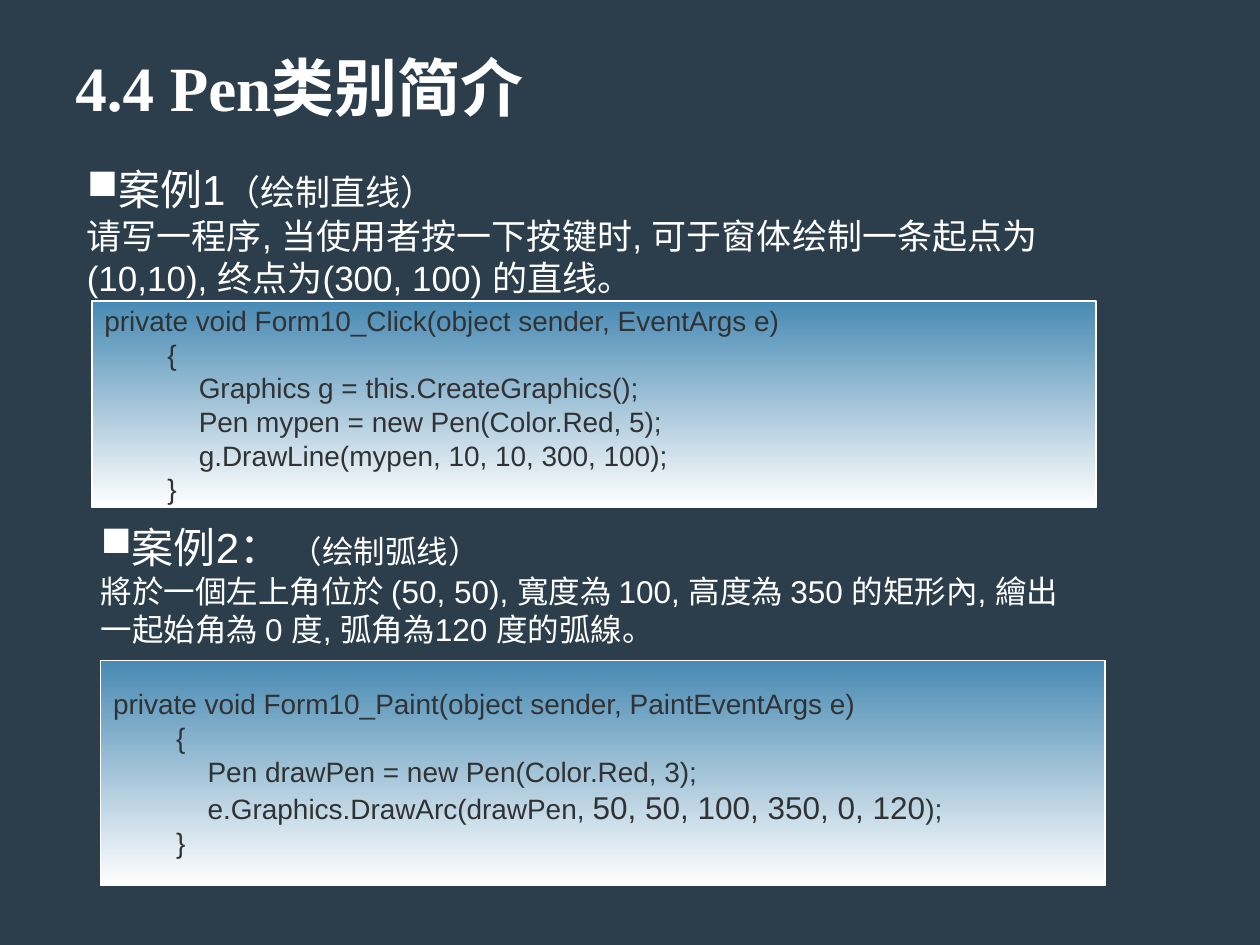
from dataclasses import dataclass

from lxml.etree import SubElement
from pptx import Presentation
from pptx.dml.color import RGBColor
from pptx.enum.shapes import MSO_SHAPE
from pptx.enum.text import MSO_ANCHOR, PP_ALIGN
from pptx.oxml.ns import qn
from pptx.util import Inches, Pt


@dataclass(frozen=True)
class Theme:
    """Colours, fonts and type sizes of the slide."""
    backdrop: str = "2C3E4C"
    light: str = "FFFFFF"
    dark: str = "303234"
    panel_top: str = "488AB3"
    heading_font: str = "Times New Roman"
    body_font: str = "Arial"
    title: int = 36
    case: int = 24
    task: int = 20
    task_small: int = 18
    code: int = 16
    code_large: int = 18


THEME = Theme()
COLUMNS, ROWS = 100, 75
CELL = Inches(0.1)
CODE_STEP = Inches(0.25)


def grid(*cells):
    """Turn grid columns and rows into lengths."""
    return [round(cell * CELL) for cell in cells]


def apply(target, values):
    """Set each attribute in a dict of format values."""
    for name, value in values.items():
        setattr(target, name, value)


def write(paragraph, pieces, color, font=THEME.body_font, bold=False):
    """Add (text, size) pieces to a paragraph."""
    for text, size in pieces:
        run = paragraph.add_run()
        run.text = text
        apply(run.font, {"name": font, "size": Pt(size), "bold": bold})
        run.font.color.rgb = RGBColor.from_string(color)


def add_text(slide, place, anchor):
    """Add a wrapping text box and return its frame."""
    frame = slide.shapes.add_textbox(*grid(*place)).text_frame
    apply(frame, {"word_wrap": True, "vertical_anchor": anchor})
    return frame


def add_title(slide, place, text):
    """Add the slide heading."""
    heading = add_text(slide, place, MSO_ANCHOR.BOTTOM).paragraphs[0]
    heading.line_spacing = 0.9
    write(heading, [(text, THEME.title)], THEME.light, THEME.heading_font, True)


def add_case(slide, place, label, topic, task, size):
    """Add a bulleted case label with its task below."""
    frame = add_text(slide, place, MSO_ANCHOR.MIDDLE)
    heading = frame.paragraphs[0]
    SubElement(heading._p.get_or_add_pPr(), qn("a:buChar")).set("char", "■")
    write(heading, [(label, THEME.case), (topic, size)], THEME.light)
    write(frame.add_paragraph(), [(task, size)], THEME.light)


def add_code(slide, place, lines):
    """Add a gradient panel with code lines as (indent, pieces)."""
    panel = slide.shapes.add_shape(MSO_SHAPE.RECTANGLE, *grid(*place))
    panel.shadow.inherit = False
    panel.fill.gradient()
    panel.fill.gradient_angle = 270
    for stop, color, position in zip(panel.fill.gradient_stops,
                                     (THEME.panel_top, THEME.light), (0, 1)):
        stop.color.rgb = RGBColor.from_string(color)
        stop.position = position
    panel.line.color.rgb = RGBColor.from_string(THEME.light)
    panel.line.width = Pt(0.75)
    frame = panel.text_frame
    apply(frame, {"word_wrap": True, "vertical_anchor": MSO_ANCHOR.MIDDLE})
    for number, (indent, pieces) in enumerate(lines):
        line = frame.add_paragraph() if number else frame.paragraphs[0]
        line.alignment = PP_ALIGN.LEFT
        line._p.get_or_add_pPr().set("marL", str(indent * CODE_STEP))
        write(line, pieces, THEME.dark)


def method(signature, *body):
    """Wrap body lines in a signature and indented braces."""
    def plain(text):
        return [(text, THEME.code)]
    statements = [(3, plain(line) if isinstance(line, str) else line) for line in body]
    return [(0, plain(signature)), (2, plain("{")), *statements, (2, plain("}"))]


def main():
    """Build and save the slide."""
    deck = Presentation()
    apply(deck, {"slide_width": COLUMNS * CELL, "slide_height": ROWS * CELL})
    slide = deck.slides.add_slide(deck.slide_layouts[6])
    slide.background.fill.solid()
    slide.background.fill.fore_color.rgb = RGBColor.from_string(THEME.backdrop)

    add_title(slide, (5, 3, 90, 7.4), "4.4 Pen类别简介")
    add_code(slide, (7.3, 23.9, 79.7, 16.4), method(
        "private void Form10_Click(object sender, EventArgs e)",
        "Graphics g = this.CreateGraphics();",
        "Pen mypen = new Pen(Color.Red, 5);",
        "g.DrawLine(mypen, 10, 10, 300, 100);"))
    add_case(slide, (5.9, 12.5, 85.5, 11.7), "案例1", "（绘制直线）",
             "请写一程序, 当使用者按一下按键时, 可于窗体绘制一条起点为 "
             "(10,10), 终点为(300, 100) 的直线。", THEME.task)
    add_case(slide, (7, 40.9, 80, 11), "案例2： ", "（绘制弧线）",
             "將於一個左上角位於 (50, 50), 寬度為 100, 高度為 350 的矩形內, "
             "繪出一起始角為 0 度, 弧角為120 度的弧線。", THEME.task_small)
    add_code(slide, (8, 52.4, 79.7, 17.9), method(
        "private void Form10_Paint(object sender, PaintEventArgs e)",
        "Pen drawPen = new Pen(Color.Red, 3);",
        [("e.Graphics.DrawArc(drawPen, ", THEME.code),
         ("50, 50, 100, 350, 0, 120", THEME.code_large), (");", THEME.code)]))
    deck.save("out.pptx")


if __name__ == "__main__":
    main()
